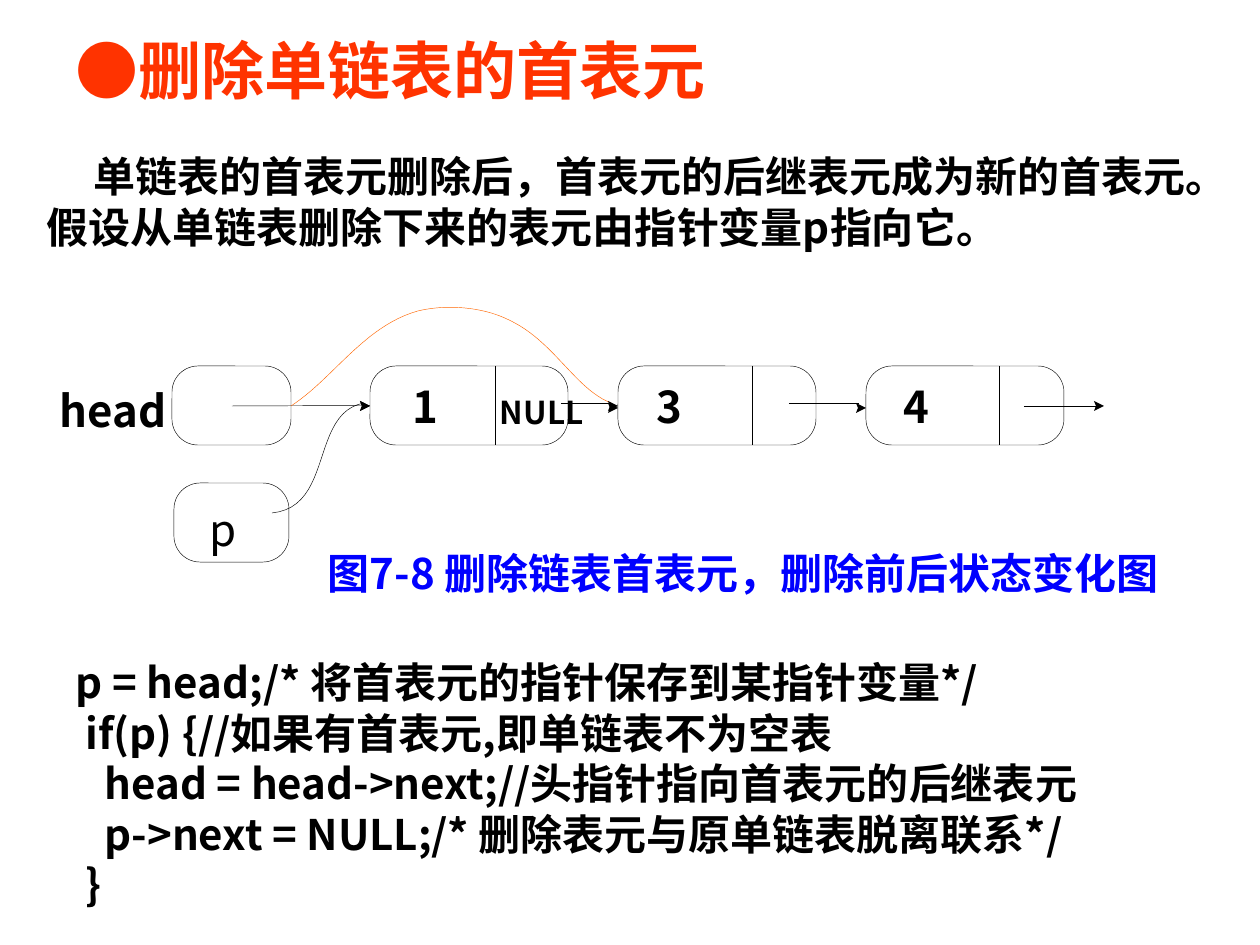
import dataclasses

import lxml.etree
import pptx
import pptx.dml.color
import pptx.enum.shapes
import pptx.enum.text
import pptx.oxml.ns
import pptx.util

SCALE = 914400 / 126
PADDED = (12, 6)
FLUSH = (0, 0)


@dataclasses.dataclass(frozen=True)
class Theme:
    """Colours, font and type sizes of the deck."""
    font: str = "Noto Sans CJK SC"
    title: str = "FF3300"
    ink: str = "000000"
    caption: str = "0000FF"
    bypass: str = "FF6600"
    paper: str = "FFFFFF"
    title_size: int = 36
    label_size: int = 25
    body_size: int = 24
    null_size: int = 18
    hairline: float = 0.25


THEME = Theme()
INTRO = "单链表的首表元删除后，首表元的后继表元成为新的首表元。假设从单链表删除下来的表元由指针变量p指向它。"
CODE = [
    "p = head;/* 将首表元的指针保存到某指针变量*/",
    " if(p) {//如果有首表元,即单链表不为空表",
    "   head = head->next;//头指针指向首表元的后继表元",
    "   p->next = NULL;/* 删除表元与原单链表脱离联系*/",
    " }",
]


def px(length):
    """Turn pixels into EMU."""
    return pptx.util.Emu(round(length * SCALE))


def rgb(colour):
    """Turn a hex string into a colour."""
    return pptx.dml.color.RGBColor.from_string(colour)


def assign(target, values):
    """Set every attribute named in a dict."""
    for name, value in values.items():
        setattr(target, name, value)


def place(shape, box):
    """Move and size a shape to a pixel box."""
    assign(shape, dict(zip(("left", "top", "width", "height"), map(px, box))))


def write(shape, lines, size, colour=THEME.ink, bold=True, inset=FLUSH, anchor="TOP", indent=0, spacing=1.0):
    """Fill a shape with formatted paragraphs."""
    frame = shape.text_frame
    across, down = map(px, inset)
    assign(frame, {
        "word_wrap": True,
        "auto_size": pptx.enum.text.MSO_AUTO_SIZE.NONE,
        "vertical_anchor": getattr(pptx.enum.text.MSO_ANCHOR, anchor),
        "margin_left": across, "margin_right": across,
        "margin_top": down, "margin_bottom": down,
    })
    for index, line in enumerate(lines):
        para = frame.paragraphs[0] if index == 0 else frame.add_paragraph()
        assign(para, {"alignment": pptx.enum.text.PP_ALIGN.LEFT, "line_spacing": spacing,
                      "space_before": pptx.util.Pt(0)})
        if indent:
            para._p.get_or_add_pPr().set("indent", str(px(indent)))
        span = para.add_run()
        span.text = line
        assign(span.font, {"name": THEME.font, "size": pptx.util.Pt(size), "bold": bold})
        span.font.color.rgb = rgb(colour)
        east = lxml.etree.SubElement(span._r.get_or_add_rPr(), pptx.oxml.ns.qn("a:ea"))
        east.set("typeface", THEME.font)


def add_text(page, box, lines, size, **style):
    """Add a text box at a pixel box."""
    write(page.shapes.add_textbox(*map(px, box)), lines, size, **style)


def stroke(shape, colour=THEME.ink):
    """Give a shape or connector a hairline."""
    shape.line.width = pptx.util.Pt(THEME.hairline)
    shape.line.color.rgb = rgb(colour)


def add_line(page, start, end):
    """Draw a straight hairline."""
    kind = pptx.enum.shapes.MSO_CONNECTOR.STRAIGHT
    line = page.shapes.add_connector(kind, *map(px, start + end))
    stroke(line)
    lxml.etree.SubElement(line._element.spPr, pptx.oxml.ns.qn("a:effectLst"))
    return line


def add_outline(page, points, close=False):
    """Draw a freeform through pixel points."""
    corners = [(px(x), px(y)) for x, y in points]
    builder = page.shapes.build_freeform(*corners[0])
    builder.add_line_segments(corners[1:], close=close)
    shape = builder.convert_to_shape()
    shape.shadow.inherit = False
    return shape


def add_head(page, tip):
    """Draw a notched arrowhead that points right."""
    x, y = tip
    head = add_outline(page, [tip, (x - 10, y + 5), (x - 8, y), (x - 10, y - 5)], close=True)
    head.fill.solid()
    head.fill.fore_color.rgb = rgb(THEME.ink)
    head.line.fill.background()


def bezier(start, first, second, end, steps=24):
    """Sample a cubic curve."""
    for step in range(1, steps + 1):
        t = step / steps
        weights = ((1 - t) ** 3, 3 * t * (1 - t) ** 2, 3 * t * t * (1 - t), t ** 3)
        yield tuple(sum(w * point[axis] for w, point in zip(weights, (start, first, second, end)))
                    for axis in (0, 1))


def add_curve(page, points, colour, tip):
    """Draw chained cubic curves and an arrowhead."""
    trace = [points[0]]
    for index in range(0, len(points) - 1, 3):
        trace.extend(bezier(*points[index:index + 4]))
    curve = add_outline(page, trace)
    curve.fill.background()
    stroke(curve, colour)
    add_head(page, tip)


def add_cell(page, box, filled=True):
    """Draw a rounded cell."""
    cell = page.shapes.add_shape(pptx.enum.shapes.MSO_SHAPE.ROUNDED_RECTANGLE, *map(px, box))
    cell.adjustments[0] = 0.33
    cell.shadow.inherit = False
    if filled:
        cell.fill.solid()
        cell.fill.fore_color.rgb = rgb(THEME.paper)
    else:
        cell.fill.background()
    stroke(cell)
    return cell


def add_node(page, box, value, inset, divider):
    """Draw a list node with its value and pointer field."""
    left, top, _, height = box
    cell = add_cell(page, box)
    add_line(page, (left + divider, top), (left + divider, top + height))
    add_text(page, (left + inset, top + 14, 40, 53), [value], THEME.label_size)
    return cell


def draw_list(page, box):
    """Draw the linked list with its pointers and caption."""
    left, top, _, _ = box

    def at(x, y):
        return left + x, top + y

    add_text(page, at(256, 235) + (910, 63), ["图7-8 删除链表首表元，删除前后状态变化图"],
             THEME.body_size, colour=THEME.caption, inset=PADDED)
    add_cell(page, at(112, 59) + (119, 79))
    add_text(page, at(0, 77) + (112, 53), ["head"], THEME.label_size)
    add_cell(page, at(114, 176) + (115, 79), filled=False)
    add_text(page, at(150, 196) + (40, 53), ["p"], THEME.label_size, bold=False)
    nodes = [("1", 43, 125), ("3", 39, 134), ("4", 38, 133)]
    cells = [add_node(page, at(310 + 248 * index, 59) + (198, 79), *node)
             for index, node in enumerate(nodes)]
    add_text(page, at(440, 86) + (92, 40), ["NULL"], THEME.null_size)

    add_line(page, at(172, 99), at(310, 99)).end_connect(cells[0], 1)
    add_head(page, at(310, 99))
    for start, end, level, drop in [(501, 558, 96, 5), (729, 806, 96, 5), (964, 1044, 99, 0)]:
        add_line(page, at(start, level), at(end - 7, level))
        add_head(page, at(end, level + drop))
    bypass = [(231, 99), (273, 72), (304, 19), (358, 4), (387, -3), (423, 0),
              (449, 13), (494, 34), (515, 82), (551, 96)]
    add_curve(page, [at(*point) for point in bypass], THEME.bypass, at(558, 99))
    detached = [(212, 206), (274, 200), (250, 106), (304, 96)]
    add_curve(page, [at(*point) for point in detached], THEME.ink, at(310, 99))


def main():
    """Build and save the deck."""
    deck = pptx.Presentation()
    assign(deck, {"slide_width": px(1260), "slide_height": px(945)})
    page = deck.slides.add_slide(deck.slide_layouts[5])
    title = page.shapes.title
    place(title, (64, 35, 774, 79))
    write(title, ["●删除单链表的首表元"], THEME.title_size, colour=THEME.title,
          inset=PADDED, anchor="MIDDLE", spacing=0.9)
    add_text(page, (35, 145, 1171, 113), [INTRO], THEME.body_size, inset=PADDED, indent=47)
    draw_list(page, (60, 307, 1106, 298))
    add_text(page, (64, 651, 1101, 265), CODE, THEME.body_size, inset=PADDED)
    deck.save("out.pptx")


if __name__ == "__main__":
    main()
